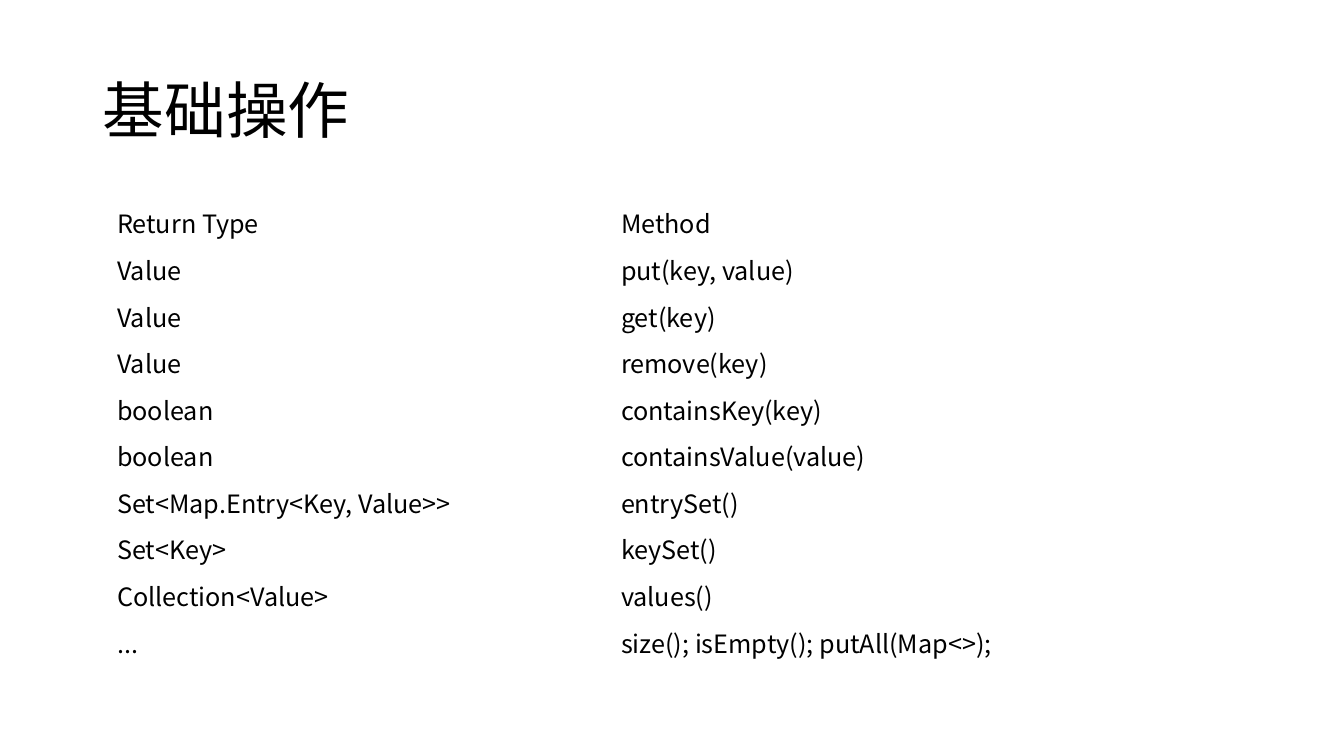
from dataclasses import dataclass

from lxml import etree
from pptx import Presentation
from pptx.dml.color import RGBColor
from pptx.enum import text
from pptx.oxml import ns
from pptx.util import Inches, Pt


@dataclass(frozen=True)
class Theme:
    """Colours, font and type sizes of the slide."""
    ink: RGBColor = RGBColor(0, 0, 0)
    paper: RGBColor = RGBColor(255, 255, 255)
    font: str = "Noto Sans CJK SC"
    title: int = 44
    body: int = 18


THEME = Theme()
WIDTH, HEIGHT = 13.33, 7.5
MAP_METHODS = [
    ("Return Type", "Method"),
    ("Value", "put(key, value)"),
    ("Value", "get(key)"),
    ("Value", "remove(key)"),
    ("boolean", "containsKey(key)"),
    ("boolean", "containsValue(value)"),
    ("Set<Map.Entry<Key, Value>>", "entrySet()"),
    ("Set<Key>", "keySet()"),
    ("Collection<Value>", "values()"),
    ("...", "size(); isEmpty(); putAll(Map<>);"),
]


def format_runs(tf, size):
    """Apply the theme font and ink to every run."""
    for p in tf.paragraphs:
        p.alignment = text.PP_ALIGN.LEFT
        for r in p.runs:
            r.font.name = THEME.font
            r.font.size = Pt(size)
            r.font.color.rgb = THEME.ink
            ea = etree.SubElement(r.font._element, ns.qn("a:ea"))
            ea.set("typeface", THEME.font)


def place_title(sp, box, words):
    """Fill the title placeholder and fit it to the box."""
    sp.left, sp.top, sp.width, sp.height = map(Inches, box)
    tf = sp.text_frame
    tf.text = words
    tf.word_wrap = True
    tf.vertical_anchor = text.MSO_ANCHOR.MIDDLE
    tf.paragraphs[0].line_spacing = 0.9
    format_runs(tf, THEME.title)


def add_method_table(slide, box, rows):
    """Add an unbanded table with equal columns and rows in the box."""
    table = slide.shapes.add_table(len(rows), len(rows[0]), *map(Inches, box)).table
    table.first_row = table.horz_banding = False
    for row, words in zip(table.rows, rows):
        for cell, word in zip(row.cells, words):
            cell.fill.background()
            cell.margin_left = cell.margin_right = Inches(0.05)
            cell.margin_top = cell.margin_bottom = Inches(0.05)
            cell.text_frame.text = word
            format_runs(cell.text_frame, THEME.body)


def build_operations_slide(prs):
    """Build the title and the table of map operations."""
    slide = prs.slides.add_slide(prs.slide_layouts[5])
    slide.background.fill.solid()
    slide.background.fill.fore_color.rgb = THEME.paper
    add_method_table(slide, (WIDTH / 12, 1.98, WIDTH * 0.75, 4.04), MAP_METHODS)
    place_title(slide.shapes.title, (0.92, 0.4, 11.5, 1.45), "基础操作")


def main():
    """Create and save the presentation."""
    prs = Presentation()
    prs.slide_width, prs.slide_height = Inches(WIDTH), Inches(HEIGHT)
    build_operations_slide(prs)
    prs.save("out.pptx")


if __name__ == "__main__":
    main()
